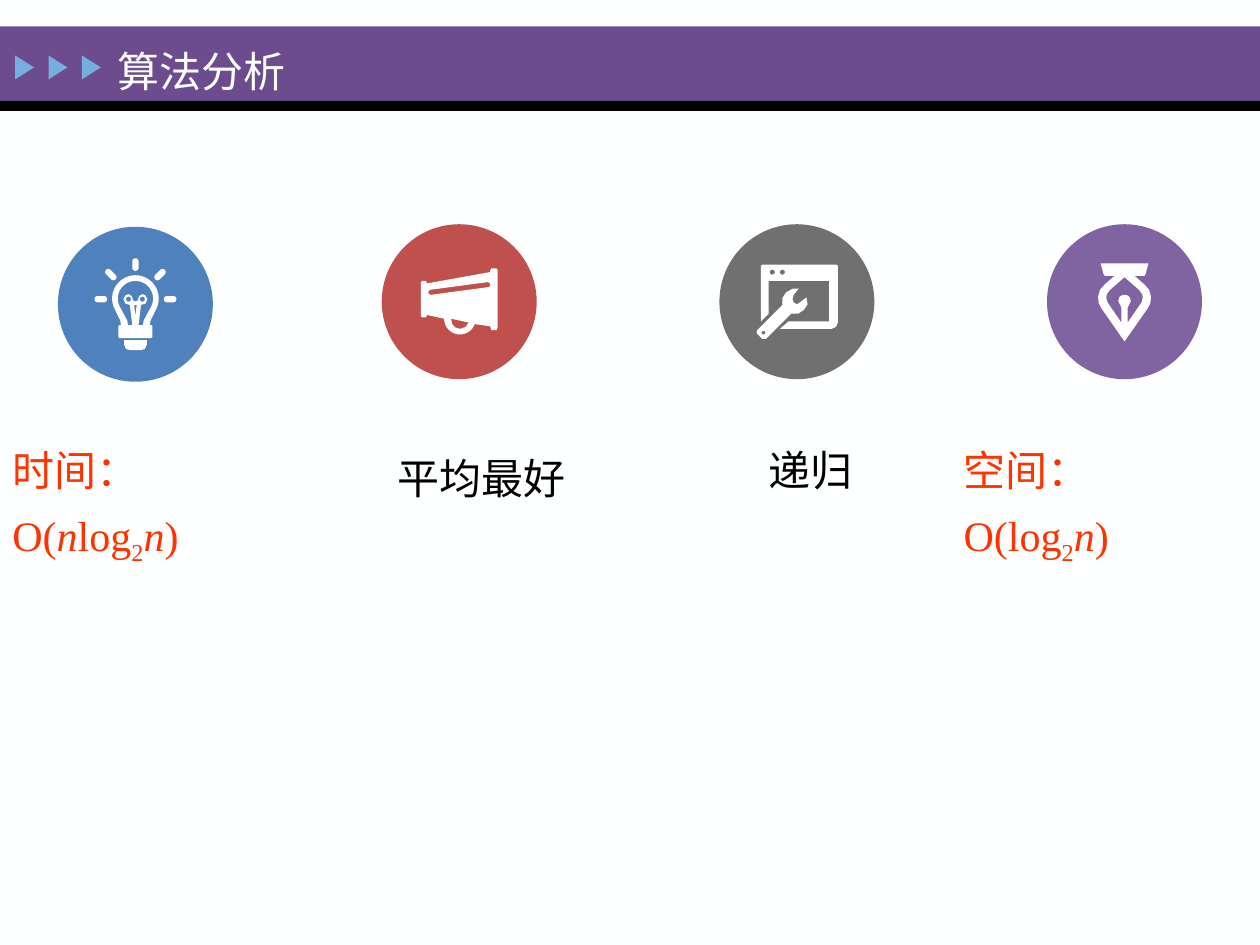
import math

from pptx import Presentation
from pptx import util as u
from pptx.dml.color import RGBColor
from pptx.enum import shapes, text

PLUM = RGBColor(0x6C, 0x4C, 0x8F)
SKY = RGBColor(0x76, 0xAE, 0xDD)
BLUE = RGBColor(0x4F, 0x81, 0xBD)
BRICK = RGBColor(0xC0, 0x50, 0x4D)
GREY = RGBColor(0x70, 0x70, 0x70)
VIOLET = RGBColor(0x80, 0x64, 0xA2)
RED = RGBColor(0xFF, 0x33, 0x00)
BLACK = RGBColor(0, 0, 0)
PAPER = RGBColor(0xFE, 0xFF, 0xFF)
WHITE = RGBColor(0xFF, 0xFF, 0xFF)

FONT = "Times New Roman"
DISC = 1.23


def arc(x, y, r, start, end, steps=16):
    turns = [math.radians(start + (end - start) * i / steps) for i in range(steps + 1)]
    return [(x + r * math.cos(t), y + r * math.sin(t)) for t in turns]


def ring(x, y, r):
    return arc(x, y, r, 0, 360)


def bar(x1, y1, x2, y2, r):
    lean = math.degrees(math.atan2(y2 - y1, x2 - x1))
    return arc(x1, y1, r, lean + 90, lean + 270) + arc(x2, y2, r, lean - 90, lean + 90)


def mirror(half):
    return half + [(-x, y) for x, y in reversed(half)]


def bulb():
    glass = arc(0, -4.5, 18.5, -90, 30) + [
        (12, 13), (11.5, 16.5), (13, 16.5), (13.5, 18), (13.5, 26), (12.5, 27)]
    hollow = arc(0, -4.5, 14, -90, 30) + [
        (6.5, 13), (6, 16.5), (2.5, 16.5), (4.5, 0.5), (8, -0.5), (9.5, -4),
        (8, -7), (5.5, -8), (3, -6.5), (1.5, -2.5)]
    plug = [(9, 28.5), (9, 32), (7.5, 35.5), (4, 36.5)]
    rays = [bar(0, -34, 0, -29, 2.5)]
    coils = []
    for side in (-1, 1):
        rays.append(bar(side * 25, -4, side * 30, -4, 2.5))
        rays.append(bar(side * 17.5, -21.5, side * 21.5, -25.5, 2.5))
        coils.append(ring(side * 5.5, -4, 2))
    wire = [(-1, 0.5), (1, 0.5), (0, 9.5)]
    return [mirror(glass), mirror(hollow), mirror(plug), wire] + rays + coils


def horn():
    body = [(29.5, -26.5), (25.5, -26.5), (24.5, -25), (24.5, -23.5),
            (-25.5, -14.5), (-26.5, -16.5), (-29.5, -16.5), (-30.5, -15.5),
            (-30.5, 11.5), (-29.5, 12.5), (-26.5, 12.5), (-25.5, 10.5)]
    body += arc(0.5, 13.5, 12.5, 180, 20)
    body += [(24.5, 19.5), (25.5, 22.5), (29.5, 22.5), (30.5, 20.5), (30.5, -25)]
    grip = [(-6.5, 13.5), (-5.5, 18), (-3, 20.5), (0.5, 21.5), (5, 20), (7.5, 16.5)]
    return [body, grip, bar(-22.5, -7.5, 22.5, -13.5, 2)]


def tool():
    wrench = [(5.5, 6.5), (8.5, 2), (7.5, -3.5), (2.5, 0.5), (0, 2), (-2.5, 0.5),
              (-3.5, -2), (-2.5, -5.5), (1.5, -10.5), (-3, -10.5), (-8.5, -7.5),
              (-11.5, -3), (-11.5, 2.5), (-31.5, 22.5), (-32, 25), (-27.5, 29.5),
              (-24.5, 29.5), (-4.5, 9.5), (1, 9.5)]
    frame = [(31.5, -29.5), (-27.5, -29.5), (-28.5, -28.5), (-28.5, 15.5),
             (-22.5, 9.5), (-22.5, -16.5), (25.5, -16.5), (25.5, 15.5),
             (-6.5, 15.5), (-13.5, 21.5), (27.5, 21.5), (31, 20), (32.5, 16.5),
             (32.5, -28.5)]
    dots = [ring(x, -23.5, 2) for x in (-19.5, -11.5)]
    return [wrench, frame, ring(-26.5, 24.5, 1.5)] + dots


def pen():
    nib = [(19, -30.5), (16.5, -21.5), (15.5, -20.5), (8, -20.5), (16, -13.5),
           (19.5, -9.5), (21, -4), (20.5, 1), (18.5, 5), (0, 31.5)]
    hollow = [(0, -19.5), (11.5, -9.5), (14, -6), (14.5, -3), (13.5, 0.5),
              (2.5, 16.5), (2.5, 4.5), (3.5, 2.5), (5, -0.5), (4.2, -3.5),
              (2.5, -5), (0, -5.5)]
    return [mirror(nib), mirror(hollow)]


def paint(shape, fill):
    shape.shadow.inherit = False
    shape.fill.solid()
    shape.fill.fore_color.rgb = fill
    shape.line.fill.background()
    return shape


def block(home, kind, x, y, w, h, fill):
    return paint(home.add_shape(kind, u.Inches(x), u.Inches(y), u.Inches(w), u.Inches(h)), fill)


def badge(home, x, y, fill, loops):
    group = home.add_group_shape().shapes
    block(group, shapes.MSO_SHAPE.OVAL, x, y, DISC, DISC, fill)
    mid, rise = x + DISC / 2, y + DISC / 2
    pen_at = None
    for loop in loops:
        spots = [(u.Inches(mid + a / 100), u.Inches(rise + b / 100)) for a, b in loop]
        if pen_at is None:
            pen_at = group.build_freeform(*spots[0])
        else:
            pen_at.move_to(*spots[0])
        pen_at.add_line_segments(spots[1:], close=True)
    paint(pen_at.convert_to_shape(), WHITE)


def write(frame, runs, color):
    frame.word_wrap = True
    frame.auto_size = text.MSO_AUTO_SIZE.NONE
    frame.vertical_anchor = text.MSO_ANCHOR.TOP
    para = frame.paragraphs[0]
    para.alignment = text.PP_ALIGN.LEFT
    para.line_spacing = 1.25
    for words, style in runs:
        run = para.add_run()
        run.text = words
        font = run.font
        font.name, font.size = FONT, u.Pt(24)
        font.color.rgb = color
        font.italic = style == "i"
        if style == "sub":
            font._element.set("baseline", "-25000")


def label(home, x, y, w, runs, color):
    box = home.add_textbox(u.Inches(x), u.Inches(y), u.Inches(w), u.Inches(0.56))
    write(box.text_frame, runs, color)


def head(slide):
    home = slide.shapes
    block(home, shapes.MSO_SHAPE.RECTANGLE, 0, 0.21, 10, 0.59, PLUM)
    block(home, shapes.MSO_SHAPE.RECTANGLE, 0, 0.8, 10, 0.08, BLACK)
    for i in range(3):
        mark = block(home, shapes.MSO_SHAPE.ISOSCELES_TRIANGLE,
                     0.1 + 0.265 * i, 0.46, 0.19, 0.15, SKY)
        mark.rotation = 90
    title = home.title
    title.left, title.top = u.Inches(0.83), u.Inches(0.21)
    title.width, title.height = u.Inches(2.67), u.Inches(0.58)
    write(title.text_frame, [("算法分析", "")], PAPER)
    home._spTree.append(title._element)


def main():
    deck = Presentation()
    deck.slide_width, deck.slide_height = u.Inches(10), u.Inches(7.5)
    slide = deck.slides.add_slide(deck.slide_layouts[5])
    slide.background.fill.solid()
    slide.background.fill.fore_color.rgb = PAPER
    head(slide)
    home = slide.shapes
    badge(home, 0.46, 1.8, BLUE, bulb())
    badge(home, 3.03, 1.78, BRICK, horn())
    badge(home, 5.71, 1.78, GREY, tool())
    badge(home, 8.31, 1.78, VIOLET, pen())
    tail = [("2", "sub"), ("n", "i"), (")", "")]
    label(home, 0, 3.38, 2.45, [("时间：O(", ""), ("n", "i"), ("log", "")] + tail, RED)
    label(home, 3.06, 3.44, 1.61, [("平均最好", "")], BLACK)
    label(home, 6, 3.38, 1.06, [("递归", "")], BLACK)
    label(home, 7.55, 3.38, 2.26, [("空间：O(log", "")] + tail, RED)
    deck.save("out.pptx")


if __name__ == "__main__":
    main()
